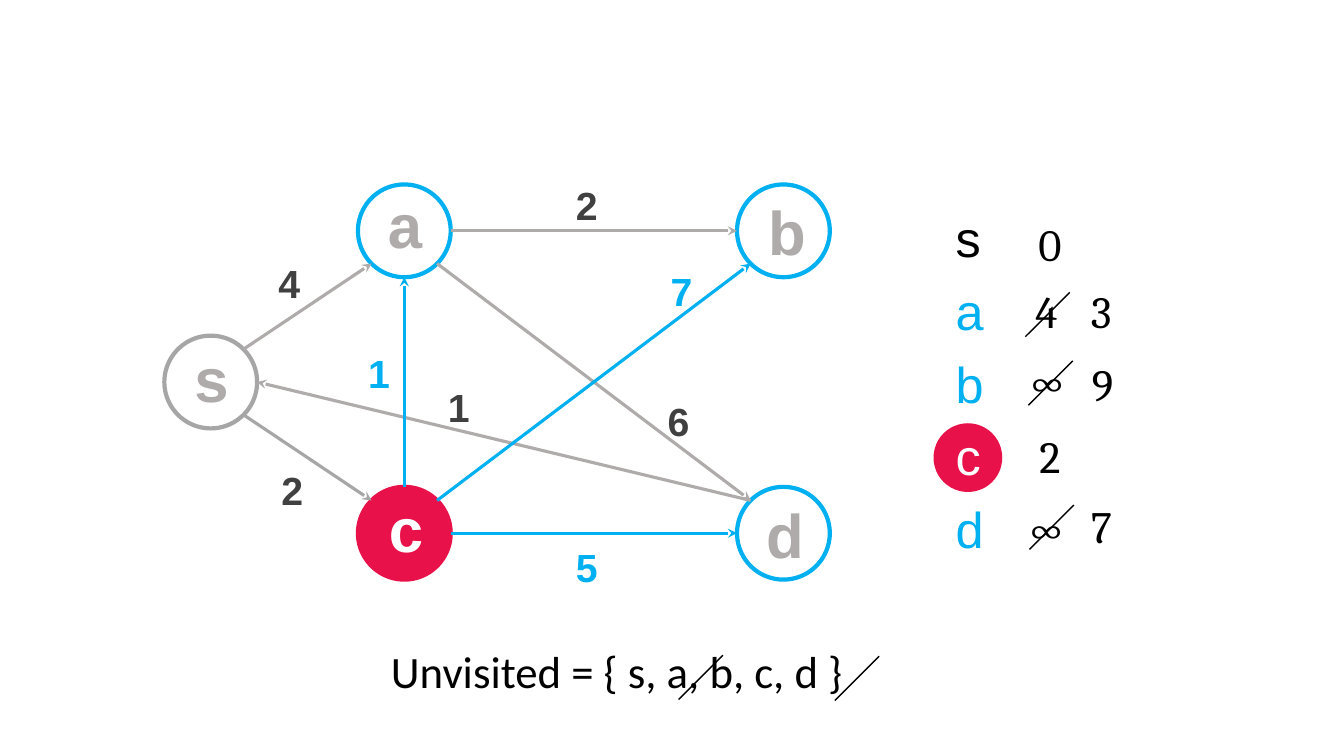
from math import cos, radians, sin

from lxml.etree import SubElement
from pptx import Presentation
from pptx.dml.color import RGBColor
from pptx.enum.shapes import MSO_CONNECTOR as Link, MSO_SHAPE as Shape
from pptx.enum.text import MSO_AUTO_SIZE as Fit, PP_ALIGN as Align
from pptx.oxml.ns import qn
from pptx.util import Inches, Pt

BLUE, RED, GRAY, RING = "00B0F0", "E91149", "AFABAB", "A6A6A6"
DARK, BLACK, WHITE = "404040", "000000", "FFFFFF"
SIZE = 0.92

# name: center x, center y, ring, fill, letter colour, letter left, letter top
NODES = {
    "s": (2.09, 3.79, RING, None, GRAY, 1.83, 3.33),
    "a": (4.01, 2.29, BLUE, None, GRAY, 3.75, 1.81),
    "b": (7.77, 2.29, BLUE, None, GRAY, 7.52, 1.87),
    "c": (4.01, 5.29, RED, RED, WHITE, 3.76, 4.82),
    "d": (7.77, 5.29, BLUE, None, GRAY, 7.5, 4.88),
}

# from, angle, to, angle, line colour, weight, weight left, weight top
# Angles run clockwise from the right
EDGES = [
    ("s", -45, "a", 135, GRAY, "4", 2.52, 2.52),
    ("s", 45, "c", 225, RING, "2", 2.55, 4.58),
    ("c", 0, "d", 180, BLUE, "5", 5.47, 5.34),
    ("a", 45, "d", 225, GRAY, "6", 6.38, 3.89),
    ("a", 0, "b", 180, GRAY, "2", 5.47, 1.75),
    ("d", 225, "s", 0, GRAY, "1", 4.2, 3.75),
    ("c", -90, "a", 90, BLUE, "1", 3.41, 3.42),
    ("c", -45, "b", 135, BLUE, "7", 6.41, 2.6),
]

ROWS = [("s", BLACK), ("a", BLUE), ("b", BLUE), ("c", WHITE), ("d", BLUE)]

# text, left, top, width
COSTS = [
    ("0", 10.2, 2.1, 0.42),
    ("4", 10.17, 2.77, 0.42), ("3", 10.72, 2.77, 0.42),
    ("∞", 10.1, 3.46, 0.64), ("9", 10.73, 3.49, 0.42),
    ("2", 10.21, 4.2, 0.42),
    ("∞", 10.09, 4.92, 0.64), ("7", 10.72, 4.9, 0.42),
]

# Upper right end of each strike
STRIKES = [(10.61, 2.9), (10.64, 3.58), (10.65, 5.01), (7.17, 6.5), (8.72, 6.51)]


def paint(color, tone):
    color.rgb = RGBColor.from_string(tone)


def draw_line(slide, start, end, tone, width, arrow=False):
    ends = [Inches(n) for n in (*start, *end)]
    line = slide.shapes.add_connector(Link.STRAIGHT, *ends)
    paint(line.line.color, tone)
    line.line.width = Pt(width)
    if arrow:
        SubElement(line.line._get_or_add_ln(), qn("a:tailEnd"), type="stealth")
    SubElement(line._element.spPr, qn("a:effectLst"))


def draw_disc(slide, x, y, size, ring, fill=None):
    """Draw a circle around the center x, y."""
    box = [Inches(n) for n in (x - size / 2, y - size / 2, size, size)]
    disc = slide.shapes.add_shape(Shape.OVAL, *box)
    disc.shadow.inherit = False
    paint(disc.line.color, ring)
    disc.line.width = Pt(3)
    if fill:
        disc.fill.solid()
        paint(disc.fill.fore_color, fill)
    else:
        disc.fill.background()


def write(slide, box, lines, size, font, bold=False, wrap=False,
          align=Align.LEFT, pitch=None):
    """Write one paragraph for each (text, colour) pair in lines."""
    frame = slide.shapes.add_textbox(*[Inches(n) for n in box]).text_frame
    frame.word_wrap = wrap
    frame.auto_size = Fit.SHAPE_TO_FIT_TEXT
    for i, (text, tone) in enumerate(lines):
        para = frame.add_paragraph() if i else frame.paragraphs[0]
        para.alignment = align
        para.line_spacing = pitch
        run = para.add_run()
        run.text = text
        run.font.size, run.font.name, run.font.bold = Pt(size), font, bold
        paint(run.font.color, tone)


def rim(name, angle):
    """Return the point on a node's ring at an angle."""
    x, y = NODES[name][:2]
    turn = radians(angle)
    return x + SIZE / 2 * cos(turn), y + SIZE / 2 * sin(turn)


def draw_graph(slide):
    for name, (x, y, ring, fill, tone, left, top) in NODES.items():
        draw_disc(slide, x, y, SIZE, ring, fill)
        write(slide, (left, top, 0.5, 0.83), [(name, tone)], 44, "Arial",
              bold=True, wrap=True)
    for tail, out, head, into, tone, weight, left, top in EDGES:
        draw_line(slide, rim(tail, out), rim(head, into), tone, 2.25, arrow=True)
        ink = BLUE if tone == BLUE else DARK
        write(slide, (left, top, 0.7, 0.57), [(weight, ink)], 28, "Arial",
              bold=True, wrap=True, align=Align.CENTER)


def draw_costs(slide):
    draw_disc(slide, 9.6, 4.54, 0.64, RED, RED)
    write(slide, (9.38, 1.89, 0.48, 3.7), ROWS, 36, "Arial", pitch=1.2)
    for text, left, top, width in COSTS:
        write(slide, (left, top, width, 0.63), [(text, BLACK)], 32, "Cambria")


def main():
    deck = Presentation()
    deck.slide_width, deck.slide_height = Inches(13.33), Inches(7.5)
    slide = deck.slides.add_slide(deck.slide_layouts[6])
    draw_graph(slide)
    draw_costs(slide)
    write(slide, (3.78, 6.34, 5.86, 0.66),
          [("Unvisited = { s, a, b, c, d }", BLACK)], 32, "Calibri")
    for x, y in STRIKES:
        draw_line(slide, (x, y), (x - 0.44, y + 0.44), BLACK, 1)
    deck.save("out.pptx")


if __name__ == "__main__":
    main()
